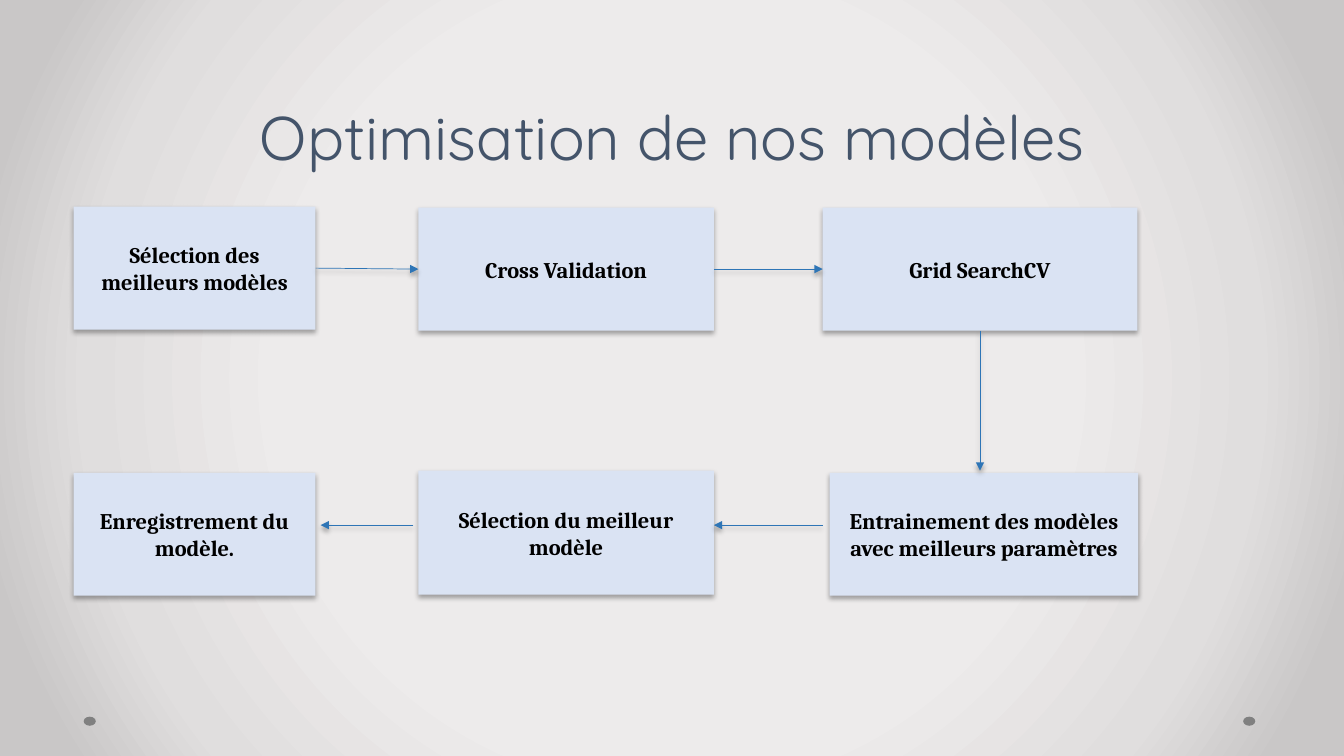
from dataclasses import dataclass

from lxml import etree
from pptx import Presentation, oxml
from pptx import util as u
from pptx.dml.color import RGBColor
from pptx.enum import shapes, text
from pptx.oxml import ns


@dataclass(frozen=True)
class Theme:
    title_font: str = "Quicksand"
    body_font: str = "Cambria"
    title_size: int = 44
    body_size: int = 16
    title_color: str = "44546A"
    text_color: str = "000000"
    box_color: str = "DAE3F3"
    arrow_color: str = "2E75B6"
    dot_color: str = "808080"
    background: tuple = ((50, "EDEBEB"), (76, "E0DEDE"), (92, "C9C7C7"))


THEME = Theme()
TOP, RIGHT, BOTTOM, LEFT = 0, 3, 2, 1

# Steps in process order: text, left, top, width, height
STEPS = (
    ("Sélection des meilleurs modèles", 0.73, 2.05, 2.4, 1.22),
    ("Cross Validation", 4.15, 2.06, 2.93, 1.22),
    ("Grid SearchCV", 8.16, 2.06, 3.12, 1.22),
    ("Entrainement des modèles avec meilleurs paramètres", 8.23, 4.69, 3.06, 1.22),
    ("Sélection du meilleur modèle", 4.15, 4.67, 2.93, 1.23),
    ("Enregistrement du modèle.", 0.73, 4.69, 2.4, 1.22),
)


def inches(*values):
    return [u.Inches(value) for value in values]


def set_background(slide):
    stops = "".join(
        f'<a:gs pos="{position * 1000}"><a:srgbClr val="{color}"/></a:gs>'
        for position, color in THEME.background
    )
    background = oxml.parse_xml(
        f'<p:bg {ns.nsdecls("p", "a")}><p:bgPr><a:gradFill rotWithShape="1">'
        f'<a:gsLst>{stops}</a:gsLst><a:path path="circle">'
        '<a:fillToRect l="50000" t="50000" r="50000" b="50000"/></a:path>'
        '</a:gradFill><a:effectLst/></p:bgPr></p:bg>'
    )
    slide.element.cSld.insert(0, background)


def write_text(frame, content, *, font, size, color, bold=False,
               anchor=text.MSO_ANCHOR.MIDDLE, line_spacing=None):
    frame.word_wrap = True
    frame.auto_size = text.MSO_AUTO_SIZE.NONE
    frame.vertical_anchor = anchor
    paragraph = frame.paragraphs[0]
    paragraph.alignment = text.PP_ALIGN.CENTER
    if line_spacing:
        paragraph.line_spacing = u.Pt(line_spacing)
    run = paragraph.add_run()
    run.text = content
    run.font.name = font
    run.font.size = u.Pt(size)
    run.font.bold = bold
    run.font.color.rgb = RGBColor.from_string(color)


def add_shadow(shape):
    shape.element.spPr.append(oxml.parse_xml(
        f'<a:effectLst {ns.nsdecls("a")}>'
        f'<a:outerShdw blurRad="{u.Pt(3.5)}" dist="{u.Pt(2.2)}" dir="5400000" '
        'algn="ctr" rotWithShape="0"><a:srgbClr val="000000">'
        '<a:alpha val="32000"/></a:srgbClr></a:outerShdw></a:effectLst>'
    ))


def add_filled(slide, kind, bounds, color):
    shape = slide.shapes.add_shape(kind, *inches(*bounds))
    shape.fill.solid()
    shape.fill.fore_color.rgb = RGBColor.from_string(color)
    shape.line.fill.background()
    return shape


def add_dot(slide, left):
    dot = add_filled(slide, shapes.MSO_SHAPE.OVAL, (left, 7.11, 0.12, 0.09),
                     THEME.dot_color)
    dot.shadow.inherit = False


def add_step(slide, content, *bounds):
    box = add_filled(slide, shapes.MSO_SHAPE.RECTANGLE, bounds, THEME.box_color)
    add_shadow(box)
    write_text(box.text_frame, content, font=THEME.body_font,
               size=THEME.body_size, color=THEME.text_color, bold=True)
    return box


def add_arrow(slide, start, end, begin=None, finish=None):
    """Draw an arrow; begin and finish are optional (box, side) joints."""
    arrow = slide.shapes.add_connector(
        shapes.MSO_CONNECTOR.STRAIGHT, *inches(*start, *end))
    if begin:
        arrow.begin_connect(*begin)
    if finish:
        arrow.end_connect(*finish)
    arrow.line.color.rgb = RGBColor.from_string(THEME.arrow_color)
    arrow.line.width = u.Pt(0.5)
    etree.SubElement(arrow.line._get_or_add_ln(), ns.qn("a:tailEnd"), type="triangle")
    add_shadow(arrow)


def main():
    presentation = Presentation()
    presentation.slide_width, presentation.slide_height = inches(13.33, 7.5)
    slide = presentation.slides.add_slide(presentation.slide_layouts[5])

    # Background and footer dots
    set_background(slide)
    for left in (12.33, 0.83):
        add_dot(slide, left)

    # Title
    title = slide.shapes.title
    title.left, title.top, title.width, title.height = inches(1.42, 0.54, 10.5, 1.22)
    write_text(title.text_frame, "Optimisation de nos modèles",
               font=THEME.title_font, size=THEME.title_size,
               color=THEME.title_color, anchor=text.MSO_ANCHOR.BOTTOM,
               line_spacing=48)

    # Process steps
    selection, validation, search, *_ = [add_step(slide, *step) for step in STEPS]

    # Arrows: top row, downward turn, bottom row
    add_arrow(slide, (3.13, 2.66), (4.15, 2.67), (selection, RIGHT), (validation, LEFT))
    add_arrow(slide, (7.08, 2.67), (8.16, 2.67), (validation, RIGHT), (search, LEFT))
    add_arrow(slide, (9.72, 3.28), (9.72, 4.67), (search, BOTTOM))
    for start, end in ((8.16, 7.08), (4.1, 3.18)):
        add_arrow(slide, (start, 5.21), (end, 5.21))

    presentation.save("out.pptx")


if __name__ == "__main__":
    main()
